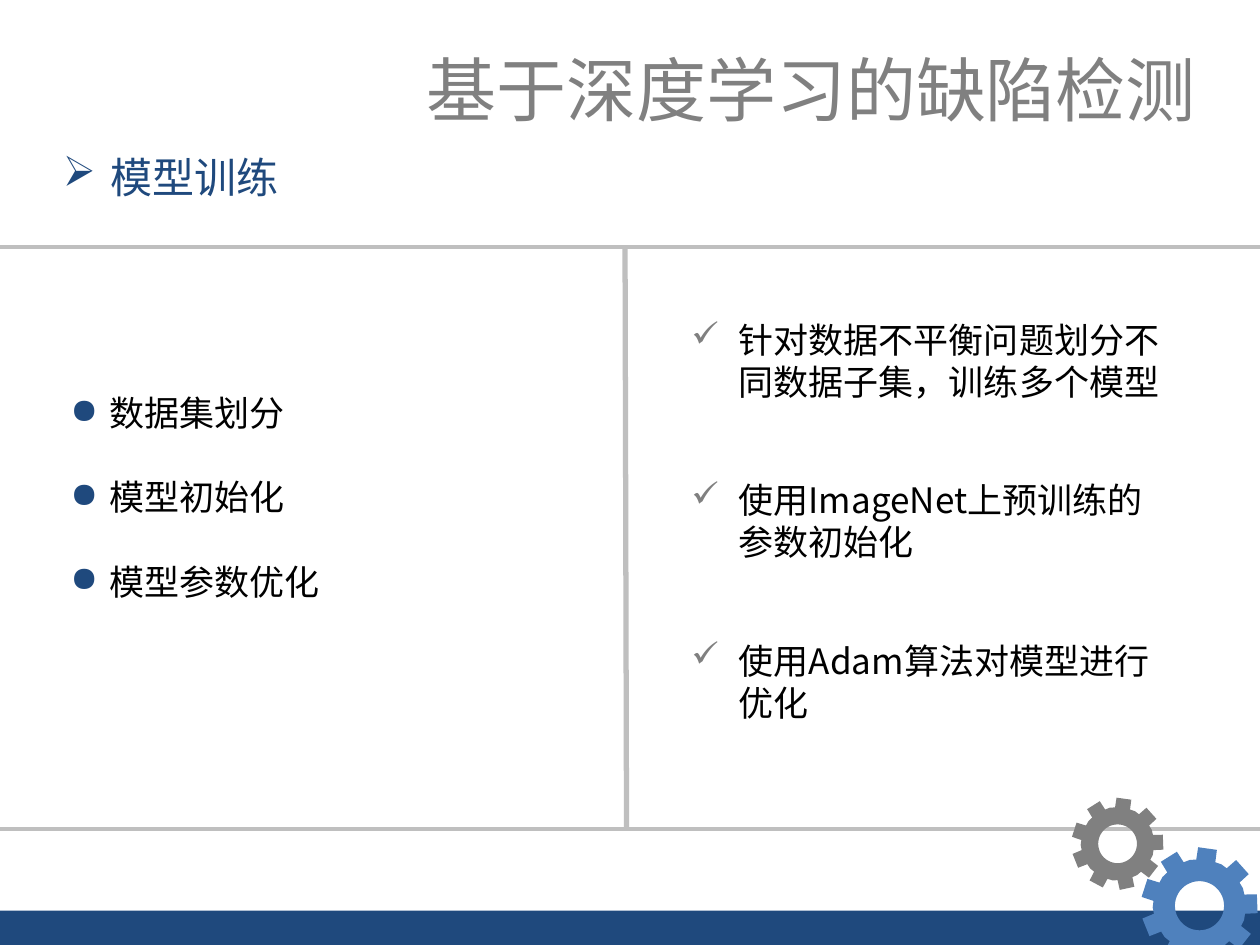
from math import cos, pi, radians, sin

from lxml.etree import SubElement
from pptx import Presentation
from pptx.dml.color import RGBColor
from pptx.enum.shapes import MSO_CONNECTOR, MSO_SHAPE
from pptx.enum.text import MSO_ANCHOR, MSO_AUTO_SIZE, PP_ALIGN
from pptx.oxml.ns import qn
from pptx.util import Cm, Pt

FONT = "Noto Sans CJK SC"
NAVY, BLUE, GRAY, RULE_GRAY, BLACK = "1F497D", "4F81BD", "808080", "BFBFBF", "000000"
WIDTH, HEIGHT = 25.4, 19.05
RULE_TOP, RULE_BOTTOM = 4.98, 16.71


def color(value):
    return RGBColor.from_string(value)


def add_run(paragraph, text, size, value):
    run = paragraph.add_run()
    run.text = text
    run.font.size = Pt(size)
    run.font.name = FONT
    run.font.color.rgb = color(value)
    SubElement(run.font._element, qn("a:ea"), typeface=FONT)


def set_bullet(paragraph, character, value, left, hanging):
    properties = paragraph._p.get_or_add_pPr()
    properties.set("marL", str(Cm(left)))
    properties.set("indent", str(-Cm(hanging)))
    bullet_color = SubElement(properties, qn("a:buClr"))
    SubElement(bullet_color, qn("a:srgbClr"), val=value)
    SubElement(properties, qn("a:buChar"), char=character)


def add_bullets(slide, box, texts, bullet, bullet_color, size=20, text_color=BLACK,
                left=0.95, hanging=0.95, level=0, line_spacing=None):
    shape = slide.shapes.add_textbox(*map(Cm, box))
    frame = shape.text_frame
    frame.word_wrap = True
    frame.auto_size = MSO_AUTO_SIZE.SHAPE_TO_FIT_TEXT
    for index, text in enumerate(texts):
        paragraph = frame.add_paragraph() if index else frame.paragraphs[0]
        paragraph.level = level
        set_bullet(paragraph, bullet, bullet_color, left, hanging)
        if line_spacing:
            paragraph.line_spacing = line_spacing
        add_run(paragraph, text, size, text_color)


def add_rule(slide, start, end, width):
    connector = slide.shapes.add_connector(
        MSO_CONNECTOR.STRAIGHT, *map(Cm, start), *map(Cm, end))
    connector.line.color.rgb = color(RULE_GRAY)
    connector.line.width = Pt(width)
    SubElement(connector._element.spPr, qn("a:effectLst"))


def fill_plain(shape, value):
    shape.shadow.inherit = False
    shape.fill.solid()
    shape.fill.fore_color.rgb = color(value)
    shape.line.fill.background()


def add_gear(slide, center_x, center_y, radius, value):
    def point(angle, distance):
        return (Cm(center_x + radius * distance * cos(angle)),
                Cm(center_y + radius * distance * sin(angle)))

    # Nine teeth, each followed by a shallow valley
    tooth = [(-12, 0.79), (-9.3, 1), (9.3, 1), (12, 0.79), (20, 0.8)]
    outline = [point(radians(40 * index - 2 + angle), distance)
               for index in range(9) for angle, distance in tooth]
    hole = [point(-2 * pi * step / 48, 0.42) for step in range(48)]

    builder = slide.shapes.build_freeform(*outline[0])
    builder.add_line_segments(outline[1:], close=True)
    builder.move_to(*hole[0])
    builder.add_line_segments(hole[1:], close=True)
    fill_plain(builder.convert_to_shape(), value)


def add_title(slide, box, text):
    title = slide.shapes.title
    title.left, title.top, title.width, title.height = map(Cm, box)
    frame = title.text_frame
    frame.word_wrap = False
    frame.auto_size = MSO_AUTO_SIZE.NONE
    frame.vertical_anchor = MSO_ANCHOR.MIDDLE
    paragraph = frame.paragraphs[0]
    paragraph.alignment = PP_ALIGN.RIGHT
    add_run(paragraph, text, 40, GRAY)


def add_frame(slide):
    # Footer band
    band_top = 18.36
    band = slide.shapes.add_shape(
        MSO_SHAPE.RECTANGLE, 0, Cm(band_top), Cm(WIDTH), Cm(1.09))
    fill_plain(band, NAVY)
    # Horizontal rules
    for top in (RULE_TOP, RULE_BOTTOM):
        add_rule(slide, (-0.1, top), (25.68, top), 2.25)


def add_gears(slide, left, top):
    add_gear(slide, left + 2.57, top + 2.16, 1.18, BLUE)
    add_gear(slide, left + 0.92, top + 0.91, 0.93, GRAY)


def add_steps(slide, left, top, width):
    add_bullets(slide, (left, top, width, 5.38),
                ["数据集划分", "模型初始化", "模型参数优化"], "●", NAVY,
                left=2.06, hanging=0.79, level=1, line_spacing=2.0)


def add_details(slide, left, top, width):
    details = ["针对数据不平衡问题划分不同数据子集，训练多个模型",
               "使用ImageNet上预训练的参数初始化",
               "使用Adam算法对模型进行优化"]
    for index, text in enumerate(details):
        add_bullets(slide, (left, top + 3.23 * index, width, 1.96), [text], "✓", GRAY)


def main():
    presentation = Presentation()
    presentation.slide_width, presentation.slide_height = Cm(WIDTH), Cm(HEIGHT)
    slide = presentation.slides.add_slide(presentation.slide_layouts[5])
    add_frame(slide)
    add_title(slide, (8.18, 0.81, 16.18, 1.96), "基于深度学习的缺陷检测")
    add_bullets(slide, (1.02, 2.92, 10.03, 1.27), ["模型训练"], "➢", NAVY,
                size=24, text_color=NAVY)
    add_gears(slide, 21.61, 16.1)
    # Two columns with a divider
    add_steps(slide, -0.1, 6.93, 12.7)
    add_rule(slide, (12.6, RULE_TOP), (12.63, RULE_BOTTOM), 3)
    add_details(slide, 13.69, 6.3, 10.01)
    presentation.save("out.pptx")


if __name__ == "__main__":
    main()
